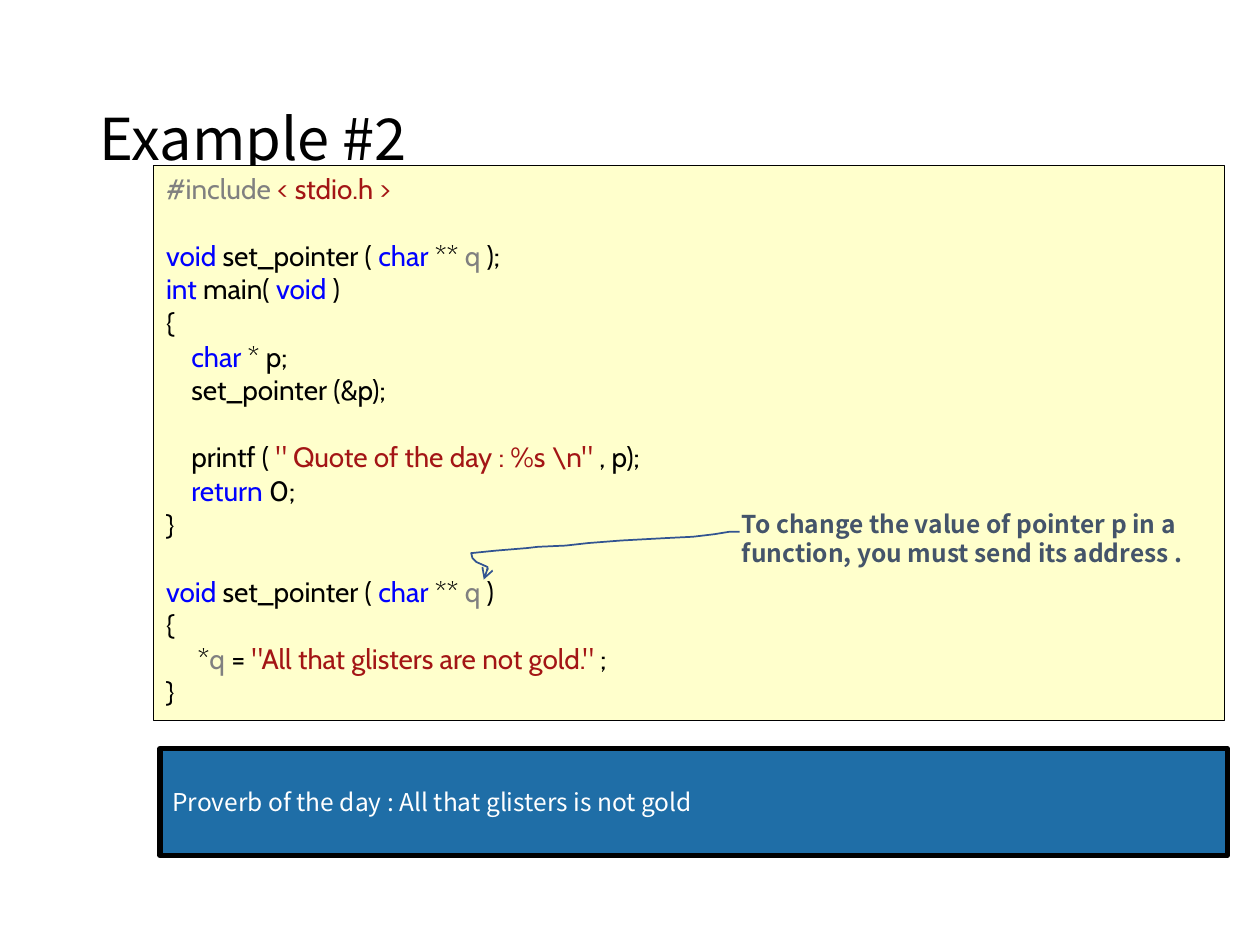
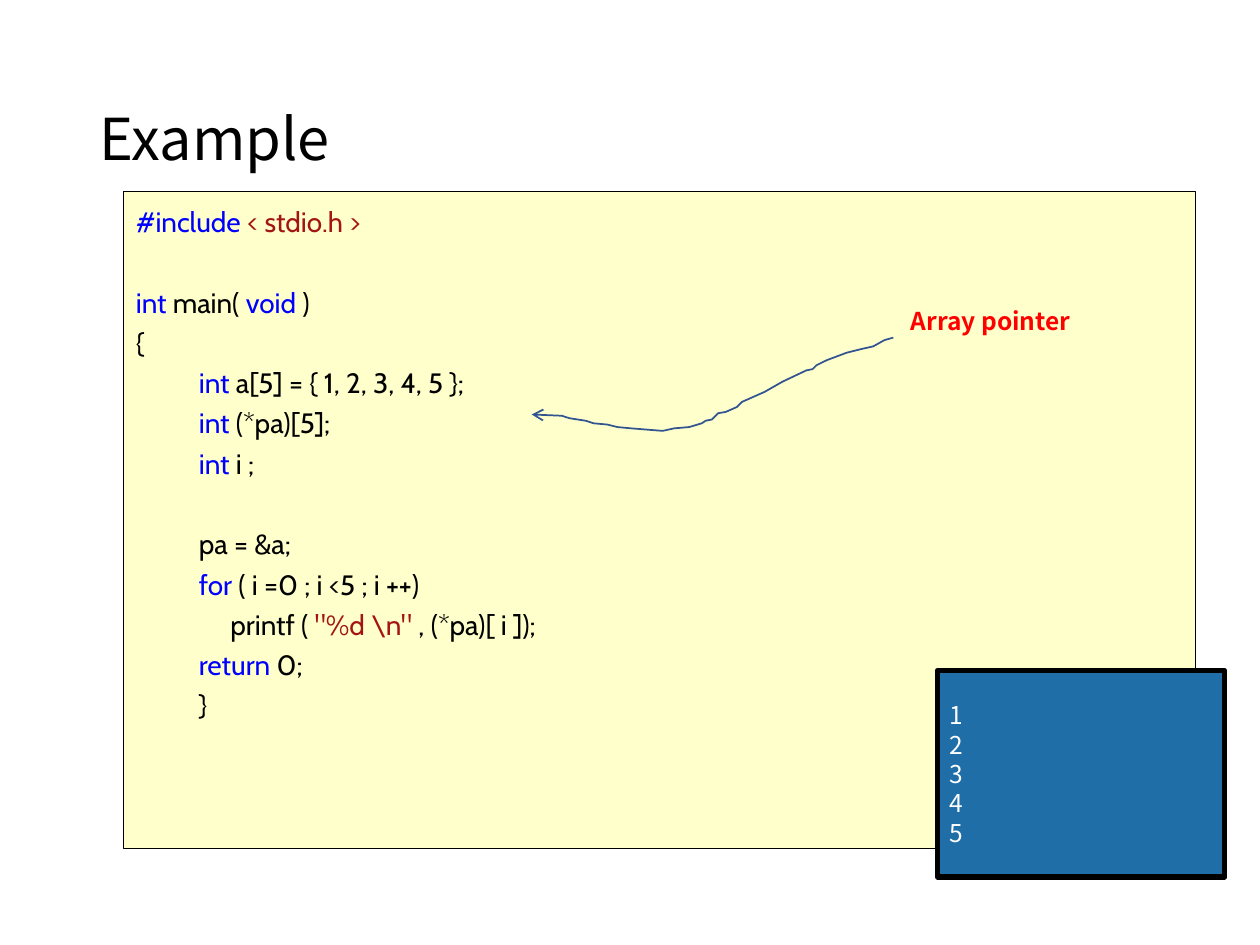
from lxml.etree import SubElement
from pptx import Presentation
from pptx.dml.color import RGBColor
from pptx.enum.shapes import MSO_SHAPE as Shape
from pptx.enum.text import MSO_ANCHOR as Anchor, PP_ALIGN as Align
from pptx.oxml.ns import qn
from pptx.util import Emu, Pt

PX = 9144  # EMU per px, 100 px to the inch
TITLE_ONLY = 5
COLORS = {
    "ink": "000000", "paper": "FFFFCC", "output": "1F6EA7", "white": "FFFFFF",
    "arrow": "325491", "slate": "44546A", "red": "FF0000",
    "keyword": "0000FF", "string": "A31515", "gray": "808080",
}
KEYWORDS = {"void", "int", "char", "return", "for"}
CODE_FONT, TEXT_FONT = "Cabin", "Noto Sans CJK KR"
CODE_LINE = 19.2  # height in points of one line of code

# A line of code is (indent in px, pieces parted by "|"); None is an empty line.
POINTER_CODE = [
    (0, "#include |< stdio.h >"),
    None,
    (0, "void |set_pointer ( |char |** |q |);"),
    (0, "int |main( |void |)"),
    (0, "{"),
    (20, "char |* p;"),
    (20, "set_pointer (&p);"),
    None,
    (20, 'printf ( |" Quote of the day : %s \\n" |, p);'),
    (20, "return |0;"),
    (0, "}"),
    None,
    (0, "void |set_pointer ( |char |** |q |)"),
    (0, "{"),
    (25, '*|q |= |"All that glisters are not gold." |;'),
    (0, "}"),
]
ARRAY_CODE = [
    (0, "#include |< stdio.h >"),
    None,
    (0, "int |main( |void |)"),
    (0, "{"),
    (50, "int |a[5] = { 1, 2, 3, 4, 5 };"),
    (50, "int |(*pa)[5];"),
    (50, "int |i ;"),
    None,
    (50, "pa = &a;"),
    (50, "for |( i =0 ; i <5 ; i ++)"),
    (75, 'printf ( |"%d \\n" |, (*pa)[ i ]);'),
    (50, "return |0;"),
    (50, "}"),
]
TO_PARAMETER = [
    (587, 422), (579, 422), (567, 424), (550, 426), (530, 427), (511, 428),
    (493, 429), (467, 431), (449, 433), (427, 434), (418, 435), (394, 437),
    (374, 439), (375, 443), (378, 446), (387, 450), (387, 452), (385, 454),
    (383, 455), (384, 460),
]
TO_DECLARATION = [
    (709, 268), (702, 270), (693, 275), (684, 277), (672, 280), (656, 286),
    (648, 290), (645, 293), (640, 294), (621, 303), (607, 311), (589, 319),
    (585, 323), (576, 327), (570, 328), (565, 333), (560, 334), (557, 336),
    (547, 339), (535, 340), (526, 342), (501, 340), (490, 339), (482, 337),
    (471, 336), (465, 334), (452, 332), (446, 330), (422, 329),
]


def rgb(color):
    return RGBColor.from_string(COLORS[color])


def piece_color(piece, directive):
    """Colour of a piece of code; directive is the colour of #include."""
    word = piece.strip()
    if word == "#include":
        return directive
    if word in KEYWORDS:
        return "keyword"
    if word == "q":
        return "gray"
    return "string" if word[0] in '"<' else "ink"


class Deck:
    def __init__(self):
        self.prs = Presentation()
        self.prs.slide_width, self.prs.slide_height = Emu(1000 * PX), Emu(750 * PX)
        self.slide = None

    def add_slide(self, heading):
        self.slide = self.prs.slides.add_slide(self.prs.slide_layouts[TITLE_ONLY])
        title = self.slide.shapes.title
        title.left, title.top, title.width, title.height = self.emu(69, 40, 862, 145)
        frame = title.text_frame
        frame.text = heading
        frame.vertical_anchor = Anchor.MIDDLE
        frame.paragraphs[0].line_spacing = 0.9
        self.style_text(frame, 33, "ink")

    @staticmethod
    def emu(*lengths):
        return [Emu(length * PX) for length in lengths]

    @staticmethod
    def style_run(run, size, color, font=TEXT_FONT, bold=False):
        run.font.size, run.font.name, run.font.bold = Pt(size), font, bold
        run.font.color.rgb = rgb(color)

    def style_text(self, frame, size, color, align=Align.LEFT, bold=False):
        for paragraph in frame.paragraphs:
            paragraph.alignment = align
            for run in paragraph.runs:
                self.style_run(run, size, color, bold=bold)

    def panel(self, box, fill, border, anchor):
        """Filled rectangle with a black border; gives its text frame."""
        panel = self.slide.shapes.add_shape(Shape.RECTANGLE, *self.emu(*box))
        panel.shadow.inherit = False
        panel.fill.solid()
        panel.fill.fore_color.rgb = rgb(fill)
        panel.line.color.rgb = rgb("ink")
        panel.line.width = Pt(border)
        frame = panel.text_frame
        frame.word_wrap = True
        frame.vertical_anchor = anchor
        return frame

    def code(self, box, lines, directive, spacing=1.0):
        frame = self.panel(box, "paper", 0.25, Anchor.TOP)
        paragraph, gap = frame.paragraphs[0], 0
        for number, line in enumerate(lines):
            if line is None:
                gap = CODE_LINE * spacing
                continue
            if number:
                paragraph = frame.add_paragraph()
            indent, pieces = line
            paragraph.alignment = Align.LEFT
            paragraph.line_spacing = spacing
            paragraph.space_before, gap = Pt(gap), 0
            paragraph._p.get_or_add_pPr().set("marL", str(indent * PX))
            for piece in pieces.split("|"):
                run = paragraph.add_run()
                run.text = piece
                self.style_run(run, 16, piece_color(piece, directive), CODE_FONT)

    def output(self, box, text):
        frame = self.panel(box, "output", 3, Anchor.MIDDLE)
        frame.text = text
        self.style_text(frame, 14, "white", Align.JUSTIFY)

    def remark(self, box, text, color):
        frame = self.slide.shapes.add_textbox(*self.emu(*box)).text_frame
        frame.word_wrap = True
        frame.text = text
        self.style_text(frame, 14, color, bold=True)

    def curved_arrow(self, points):
        builder = self.slide.shapes.build_freeform(*points[0], scale=PX)
        builder.add_line_segments(points[1:], close=False)
        arrow = builder.convert_to_shape()
        arrow.shadow.inherit = False
        arrow.fill.background()
        arrow.line.color.rgb = rgb("arrow")
        arrow.line.width = Pt(1)
        SubElement(arrow.line._get_or_add_ln(), qn("a:tailEnd"), type="arrow")


def main():
    deck = Deck()

    deck.add_slide("Example #2")
    deck.code((122, 131, 850, 441), POINTER_CODE, "gray")
    deck.remark((579, 399, 378, 57),
                "To change the value of pointer p in a function, "
                "you must send its address .", "slate")
    deck.curved_arrow(TO_PARAMETER)
    deck.output((127, 594, 847, 85),
                "Proverb of the day : All that glisters is not gold")

    deck.add_slide("Example")
    deck.code((98, 152, 851, 521), ARRAY_CODE, "keyword", spacing=1.2)
    deck.remark((713, 238, 220, 34), "Array pointer", "red")
    deck.curved_arrow(TO_DECLARATION)
    deck.output((744, 532, 228, 164), "\n".join("12345"))

    deck.prs.save("out.pptx")


if __name__ == "__main__":
    main()
